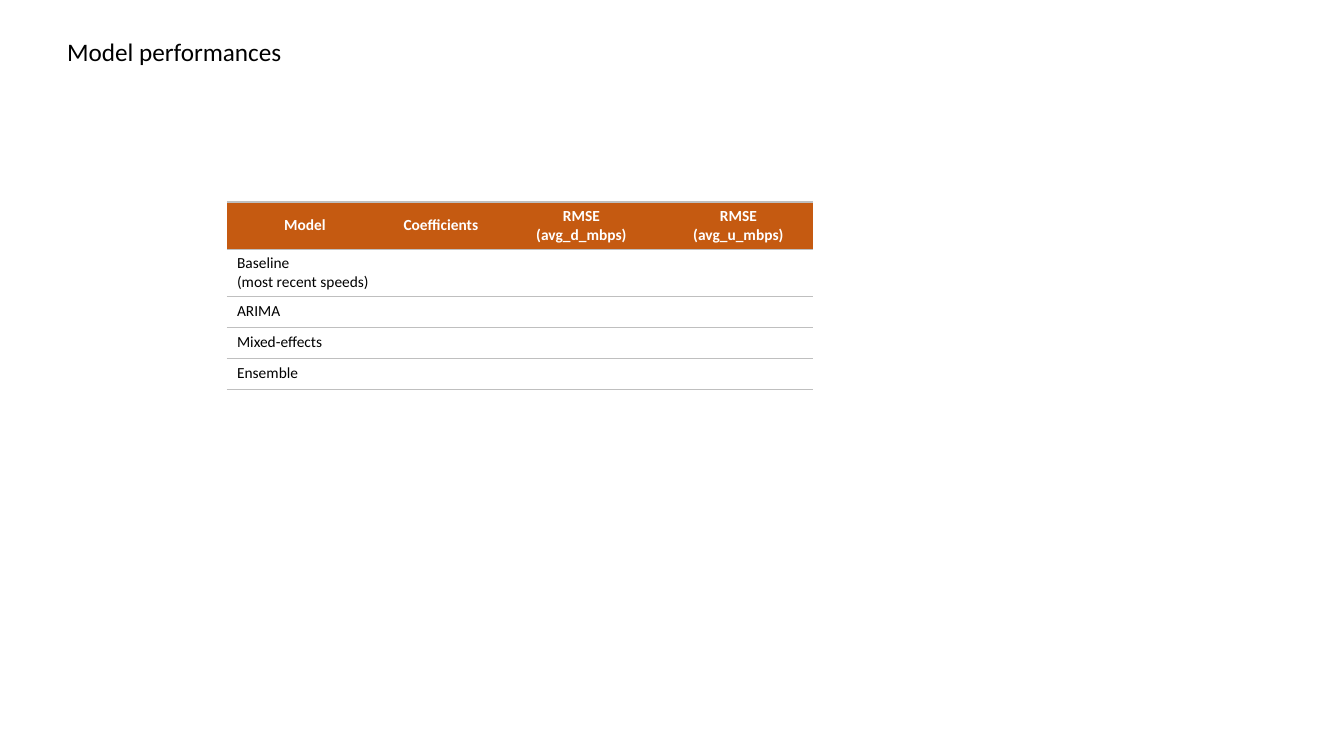
from lxml import etree
from pptx import Presentation
from pptx.dml.color import RGBColor
from pptx.enum.text import MSO_ANCHOR, MSO_AUTO_SIZE, PP_ALIGN
from pptx.oxml.ns import qn
from pptx.util import Emu, Pt

TOP, MIDDLE = MSO_ANCHOR.TOP, MSO_ANCHOR.MIDDLE
LEFT, CENTER = PP_ALIGN.LEFT, PP_ALIGN.CENTER
GROW = MSO_AUTO_SIZE.SHAPE_TO_FIT_TEXT
FONT = "Calibri"
COLORS = {"ink": "000000", "white": "FFFFFF", "head": "C55A11", "rule": "BFBFBF"}


def px(n):
    return Emu(round(n * 914400 / 100.8))


def add_text(para, text, size, color, bold=False):
    run = para.add_run()
    run.text = text
    run.font.name = FONT
    run.font.size = Pt(size)
    run.font.bold = bold
    run.font.color.rgb = RGBColor.from_string(COLORS[color])


prs = Presentation()
prs.slide_width, prs.slide_height = px(1344), px(756)
slide = prs.slides.add_slide(prs.slide_layouts[5])

# Title
title = slide.shapes.title
title.left, title.top, title.width, title.height = px(57), px(31), px(836), px(40)
frame = title.text_frame
frame.word_wrap = True
frame.auto_size = GROW
frame.vertical_anchor = TOP
frame.paragraphs[0].alignment = LEFT
add_text(frame.paragraphs[0], "Model performances", 18, "ink")

# Table grid
rows = [
    ["Model", "Coefficients", "RMSE\n(avg_d_mbps)", "RMSE\n(avg_u_mbps)"],
    ["Baseline\n(most recent speeds)", "", "", ""],
    ["ARIMA", "", "", ""],
    ["Mixed-effects", "", "", ""],
    ["Ensemble", "", "", ""],
]
widths = [156, 116, 165, 149]
heights = [47, 47, 31, 31, 31]
table = slide.shapes.add_table(len(rows), len(widths), px(227), px(202),
                               px(sum(widths)), px(sum(heights))).table
table.horz_banding = False
for col, width in zip(table.columns, widths):
    col.width = px(width)
for row, height in zip(table.rows, heights):
    row.height = px(height)

# Cells
for r, texts in enumerate(rows):
    head = r == 0
    for c, text in enumerate(texts):
        cell = table.cell(r, c)
        cell.vertical_anchor = MIDDLE if head else TOP
        cell.fill.solid()
        cell.fill.fore_color.rgb = RGBColor.from_string(COLORS["head" if head else "white"])
        for i, line in enumerate(text.split("\n")):
            para = cell.text_frame.paragraphs[0] if i == 0 else cell.text_frame.add_paragraph()
            para.alignment = CENTER if head else LEFT
            if line:
                add_text(para, line, 11, "white" if head else "ink", head)
            else:
                # Empty cells need the small size to keep rows low
                etree.SubElement(para._p, qn("a:endParaRPr"), sz="1100")

        # Grey rules above and below, none at the sides
        props = cell._tc.get_or_add_tcPr()
        for i, side in enumerate(["lnL", "lnR", "lnT", "lnB"]):
            edge = etree.Element(qn("a:" + side), w=str(Pt(1)))
            if side in ("lnT", "lnB"):
                fill = etree.SubElement(edge, qn("a:solidFill"))
                etree.SubElement(fill, qn("a:srgbClr"), val=COLORS["rule"])
            else:
                etree.SubElement(edge, qn("a:noFill"))
            props.insert(i, edge)

prs.save("out.pptx")
